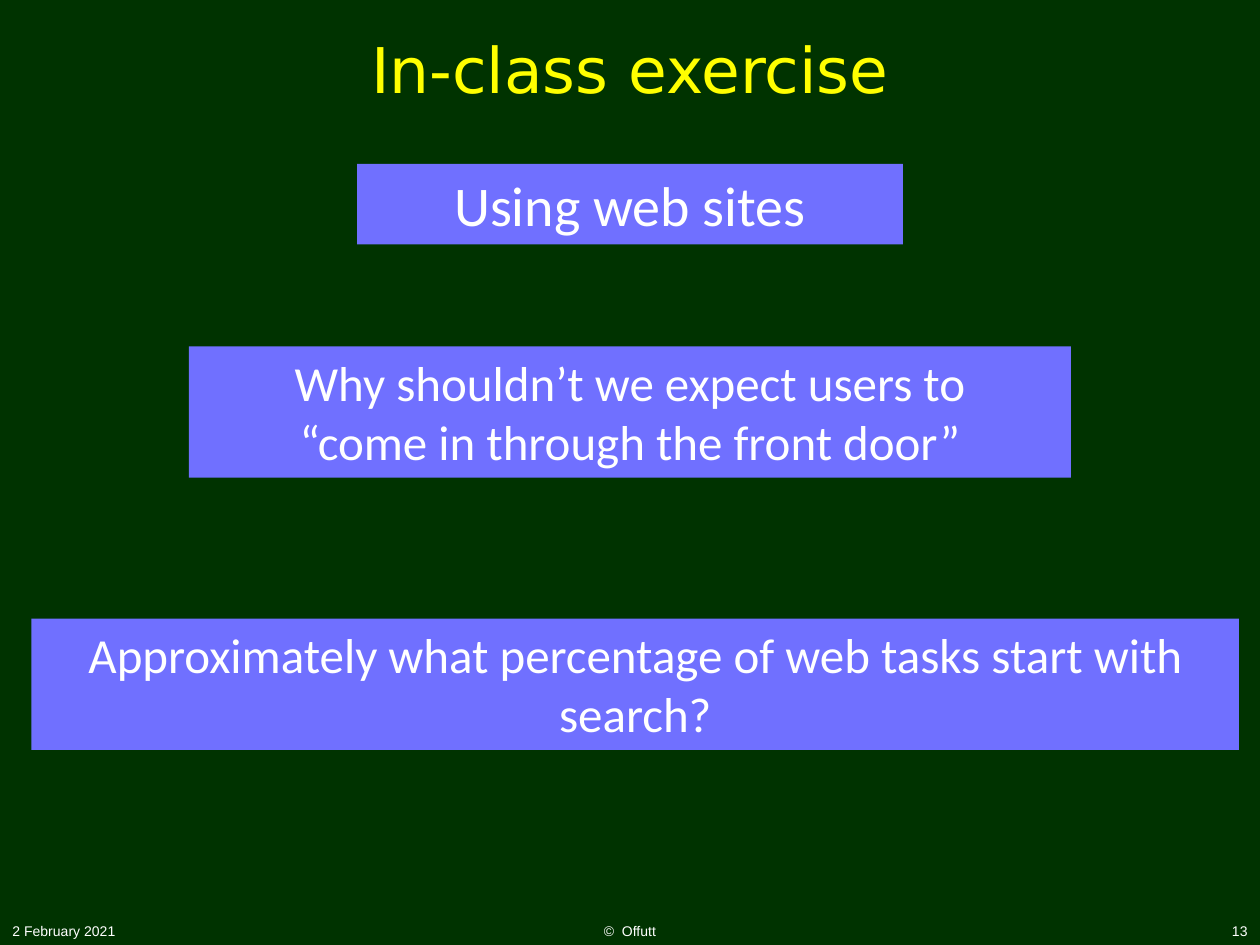
"""Build the in-class exercise slide about using web sites."""
from dataclasses import dataclass

from pptx import Presentation
from pptx.dml.color import RGBColor
from pptx.enum.shapes import MSO_SHAPE
from pptx.enum.text import MSO_ANCHOR, PP_ALIGN
from pptx.util import Pt


@dataclass(frozen=True)
class Theme:
    background: RGBColor = RGBColor.from_string("003300")
    panel: RGBColor = RGBColor.from_string("7070FF")
    heading: RGBColor = RGBColor.from_string("FFFF00")
    text: RGBColor = RGBColor.from_string("FFFFFF")
    heading_font: str = "DejaVu Sans"
    body_font: str = "Calibri"
    footer_font: str = "Arial"
    heading_size: int = 36
    topic_size: int = 32
    question_size: int = 28
    footer_size: int = 8


theme = Theme()


def write(frame, lines, font, size, color, align, anchor):
    frame.word_wrap = True
    frame.vertical_anchor = anchor
    for index, line in enumerate(lines):
        paragraph = frame.add_paragraph() if index else frame.paragraphs[0]
        paragraph.alignment = align
        run = paragraph.add_run()
        run.text = line
        run.font.name = font
        run.font.size = Pt(size)
        run.font.color.rgb = color


presentation = Presentation()
presentation.slide_width = Pt(720)
presentation.slide_height = Pt(540)
slide = presentation.slides.add_slide(presentation.slide_layouts[6])
slide.background.fill.solid()
slide.background.fill.fore_color.rgb = theme.background

heading = slide.shapes.add_textbox(Pt(6), Pt(6), Pt(708), Pt(66))
write(heading.text_frame, ["In-class exercise"], theme.heading_font,
      theme.heading_size, theme.heading, PP_ALIGN.CENTER, MSO_ANCHOR.MIDDLE)

footers = [
    ("2 February 2021", 0, 150, PP_ALIGN.LEFT),
    ("©  Offutt", 246, 228, PP_ALIGN.CENTER),
    ("13", 570, 150, PP_ALIGN.RIGHT),
]
for label, left, width, align in footers:
    footer = slide.shapes.add_textbox(Pt(left), Pt(522), Pt(width), Pt(18))
    write(footer.text_frame, [label], theme.footer_font, theme.footer_size,
          theme.text, align, MSO_ANCHOR.BOTTOM)

panels = [
    (["Using web sites"], theme.topic_size, 204, 93.6, 312, 46),
    (["Why shouldn’t we expect users to", "“come in through the front door”"],
     theme.question_size, 108, 198, 504, 75),
    (["Approximately what percentage of web tasks start with search?"],
     theme.question_size, 18, 353.6, 690, 75),
]
for lines, size, left, top, width, height in panels:
    panel = slide.shapes.add_shape(
        MSO_SHAPE.RECTANGLE, Pt(left), Pt(top), Pt(width), Pt(height))
    panel.shadow.inherit = False
    panel.fill.solid()
    panel.fill.fore_color.rgb = theme.panel
    panel.line.fill.background()
    write(panel.text_frame, lines, theme.body_font, size, theme.text,
          PP_ALIGN.CENTER, MSO_ANCHOR.TOP)

presentation.save("out.pptx")
